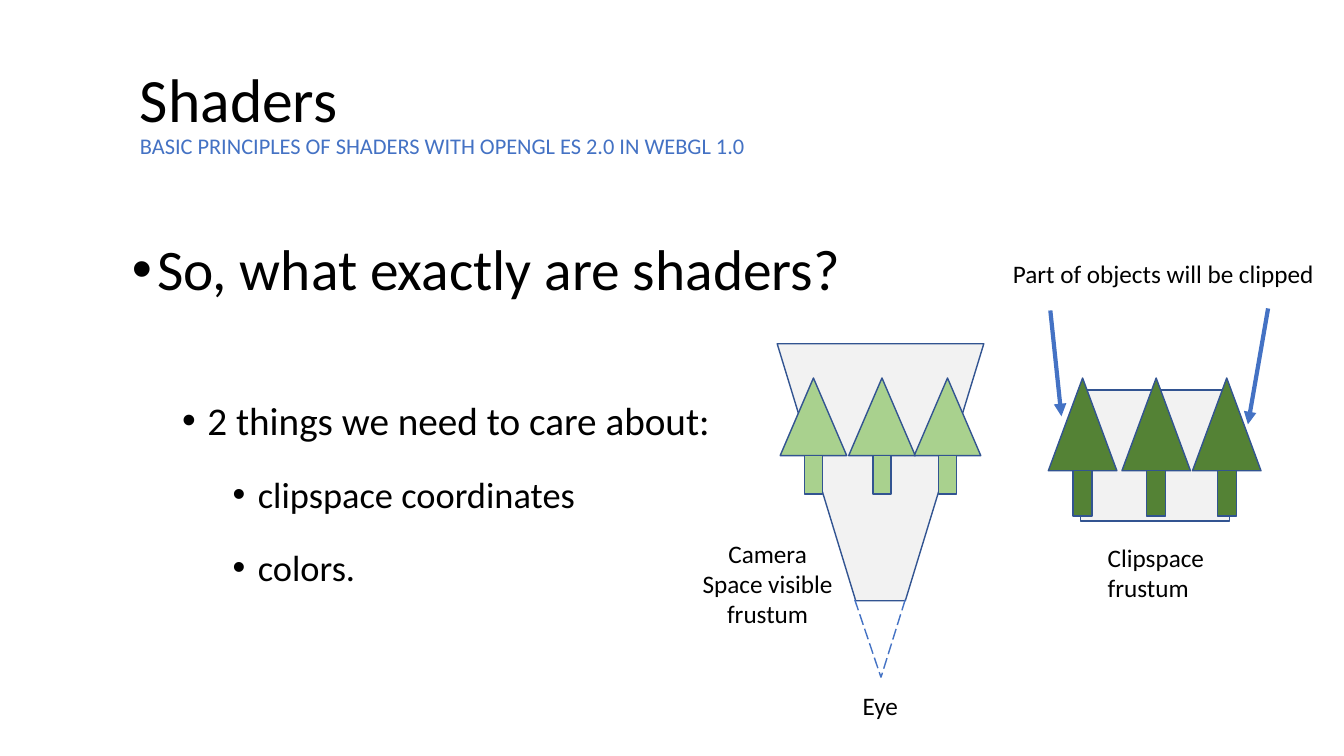
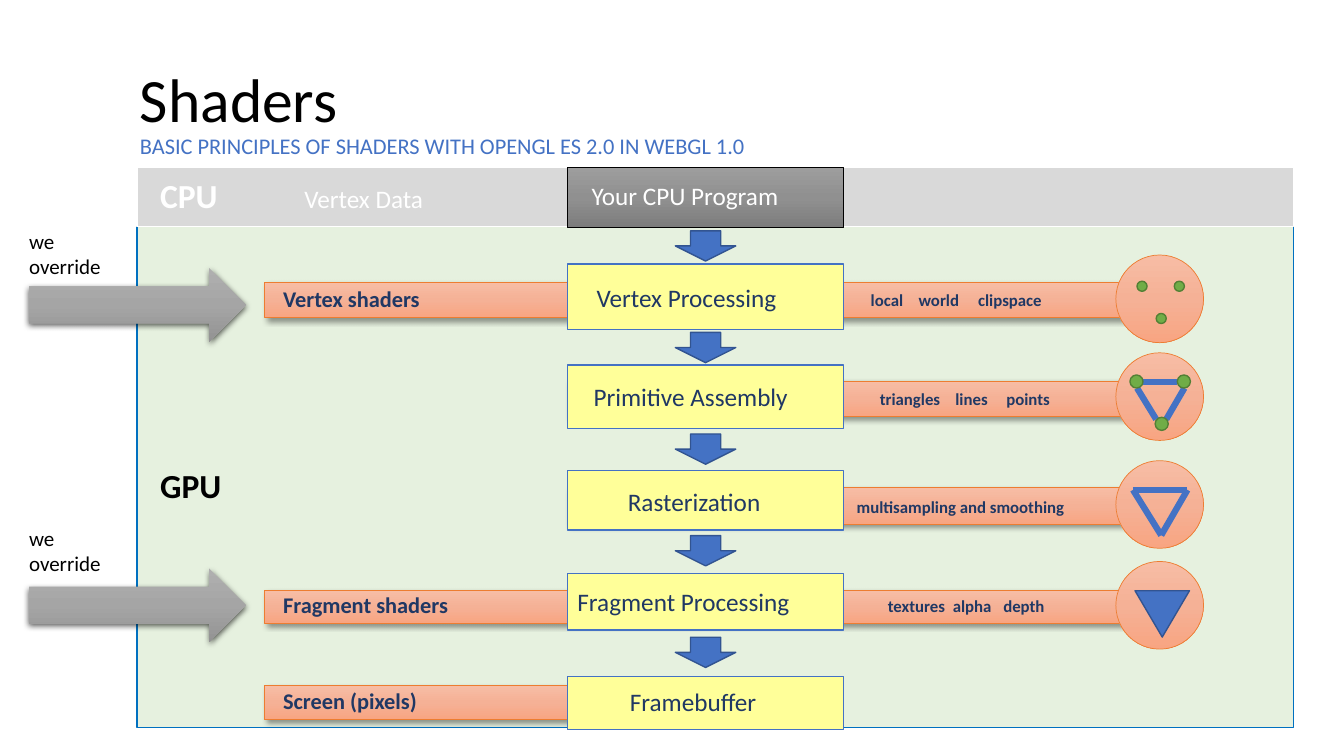
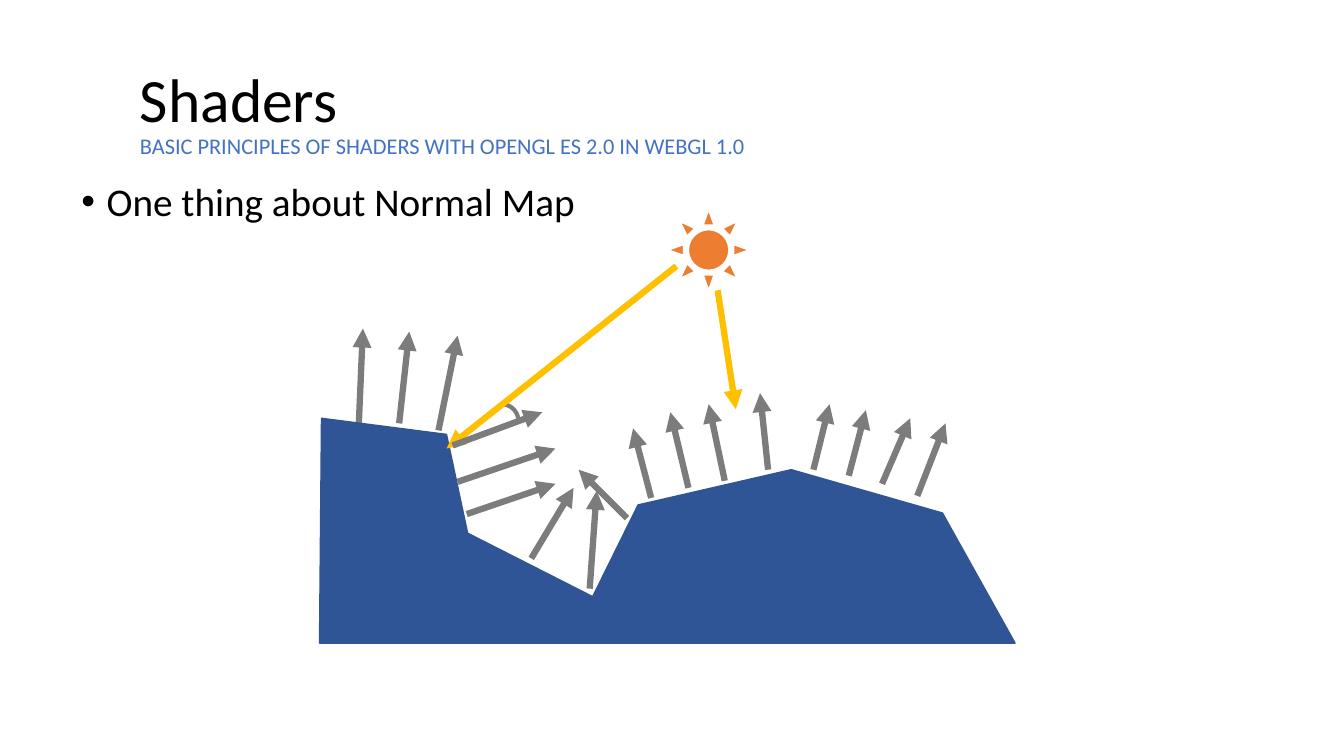
from lxml import etree
from pptx import Presentation
from pptx import util as u
from pptx.dml import color as dml
from pptx.enum import dml as dash, shapes, text
from pptx.oxml import ns

WIDE, HIGH = 133.33, 75  # columns and rows of the slide grid
CELL = 0.1  # inches
FONT = "Calibri"
HUES = {
    "ink": "000000", "white": "FFFFFF", "blue": "4472C4", "edge": "325491",
    "navy": "203864", "hill": "2F5597", "pale": "F2F2F2", "band": "D9D9D9",
    "mint": "C5E0B4", "rim": "0070C0", "leaf": "A9D18E", "pine": "548235",
    "dot": "70AD47", "ring": "538035", "orange": "ED7D31", "lemon": "FFFF99",
    "gray": "7C7C7C", "gold": "FFC000",
}
FADES = {
    "steel": ("9D9D9D", "909090", "7C7C7C"),
    "peach": ("F7BDA5", "F5B196", "F8A582"),
    "silver": ("AFAFAF", "A5A5A5", "939393"),
}
SOFT = (40, 4, 3, 45)  # shadow: opacity, blur, distance, angle
DEEP = (63, 4.5, 1.5, 90)
KIND = shapes.MSO_SHAPE


def span(cells):
    return u.Inches(cells * CELL)


def rgb(name):
    return dml.RGBColor.from_string(HUES[name])


def sub(node, tag, **attrs):
    return etree.SubElement(node, ns.qn("a:" + tag), {k: str(v) for k, v in attrs.items()})


class Deck:
    """Holds the shared style and the slide being drawn."""

    def __init__(self):
        self.prs = Presentation()
        self.prs.slide_width, self.prs.slide_height = span(WIDE), span(HIGH)

    def page(self):
        self.items = self.prs.slides.add_slide(self.prs.slide_layouts[6]).shapes
        frame = self.say((12.9, 4.1, 78.4, 14.5), "Shaders", size=44,
                         space=0.9, anchor="MIDDLE")
        self.say(frame, "BASIC PRINCIPLES OF SHADERS WITH OPENGL ES 2.0 IN WEBGL 1.0",
                 size=16, color="blue", space=0.9)

    def say(self, place, *lines, size=18, color="ink", bold=False, align="LEFT",
            anchor="TOP", space=None, before=0, level=None, tabs=()):
        """Put one paragraph a line in a new box, or add them to a given frame."""
        fresh = isinstance(place, tuple)
        frame = place
        if fresh:
            frame = self.items.add_textbox(*map(span, place)).text_frame
            frame.word_wrap = True
            frame.vertical_anchor = text.MSO_ANCHOR[anchor]
        for i, line in enumerate(lines):
            para = frame.paragraphs[0] if fresh and i == 0 else frame.add_paragraph()
            props = para._p.get_or_add_pPr()
            if level is not None:
                props.set("marL", str(u.Inches(0.25 + 0.5 * level)))
                props.set("indent", str(u.Inches(-0.25)))
                sub(props, "buFont", typeface="Arial")
                sub(props, "buChar", char="•")
            if tabs:
                stops = sub(props, "tabLst")
                for stop in tabs:
                    sub(stops, "tab", pos=span(stop), algn="l")
            para.alignment = text.PP_ALIGN[align]
            para.space_before = u.Pt(before)
            if space:
                para.line_spacing = space
            run = para.add_run()
            run.text = line
            font = run.font
            font.name, font.size, font.bold = FONT, u.Pt(size), bold
            font.color.rgb = rgb(color)
        return frame

    def paint(self, shape, fill, line, width, shadow=None, alpha=None):
        shape.shadow.inherit = False
        props = shape.element.spPr
        if fill in FADES:
            shape.fill.gradient()
            shape.fill.gradient_angle = 270
            stops = props.find(".//" + ns.qn("a:gsLst"))
            stops.clear()
            for i, hue in enumerate(FADES[fill]):
                sub(sub(stops, "gs", pos=50000 * i), "srgbClr", val=hue)
        elif fill:
            shape.fill.solid()
            shape.fill.fore_color.rgb = rgb(fill)
            if alpha:
                sub(props.find(".//" + ns.qn("a:srgbClr")), "alpha", val=alpha * 1000)
        else:
            shape.fill.background()
        if line:
            shape.line.color.rgb = rgb(line)
            shape.line.width = u.Pt(width)
        else:
            shape.line.fill.background()
        if shadow:
            dim, blur, dist, turn = shadow
            cast = sub(props.find(ns.qn("a:effectLst")), "outerShdw", blurRad=u.Pt(blur),
                       dist=u.Pt(dist), dir=turn * 60000, algn="ctr", rotWithShape=0)
            sub(sub(cast, "srgbClr", val=HUES["ink"]), "alpha", val=dim * 1000)

    def draw(self, kind, box, fill, line="edge", width=1, turn=0, adjust=None, **more):
        shape = self.items.add_shape(kind, *map(span, box))
        shape.rotation = turn
        if adjust:
            shape.adjustments[0] = adjust
        self.paint(shape, fill, line, width, **more)

    def outline(self, points, fill, line):
        spots = [tuple(map(span, spot)) for spot in points]
        form = self.items.build_freeform(*spots[0], scale=1.0)
        form.add_line_segments(spots[1:], close=True)
        self.paint(form.convert_to_shape(), fill, line, 1)

    def line(self, start, end, color="blue", width=4.5, head=False, dashed=False):
        link = self.items.add_connector(shapes.MSO_CONNECTOR.STRAIGHT,
                                        *map(span, start + end))
        link.line.color.rgb = rgb(color)
        link.line.width = u.Pt(width)
        if dashed:
            link.line.dash_style = dash.MSO_LINE.LONG_DASH
        props = link.element.spPr
        if head:
            sub(props.find(ns.qn("a:ln")), "tailEnd", type="triangle")
        sub(props, "effectLst")

    def grove(self, lefts, crown, trunk, fill):
        """Draw a row of trees; crown and trunk are (width, height)."""
        top = 37.5
        for left in lefts:
            self.draw(KIND.ISOSCELES_TRIANGLE, (left, top, *crown), fill)
            inset = (crown[0] - trunk[0]) / 2
            self.draw(KIND.RECTANGLE, (left + inset, top + crown[1], *trunk), fill)

    def dots(self, spots, size):
        for left, top in spots:
            self.draw(KIND.OVAL, (left, top, size, size), "dot", "ring")


def frustum(deck):
    deck.page()
    body = deck.say((12.1, 23.4, 72.6, 45.9), "So, what exactly are shaders?",
                    size=41, space=0.9, level=0)
    deck.say(body, "2 things we need to care about:", size=28, space=1.5,
             before=50, level=1)
    deck.say(body, "clipspace coordinates", "colors.", size=26, space=1.5,
             before=5, level=2)

    deck.draw(KIND.TRAPEZOID, (77.1, 34.1, 20.5, 25.5), "pale", turn=180, adjust=0.38)
    eye = (87.4, 67.2)
    for left in (84.8, 89.8):
        deck.line((left, 59.5), eye, width=1, dashed=True)
    deck.draw(KIND.RECTANGLE, (107.2, 38.7, 14.8, 13), "pale")
    deck.grove((77.4, 84.2, 90.7), (6.6, 7.7), (1.8, 3.8), "leaf")
    deck.grove((104, 111.3, 118.3), (6.8, 9.2), (1.9, 4.5), "pine")

    deck.say((68.6, 52.9, 15.1, 10.1), "Camera", "Space visible", "frustum", align="CENTER")
    deck.say((84.6, 68, 5.6, 4), "Eye")
    deck.say((108.9, 53.3, 11.7, 7.1), "Clipspace", "frustum")
    deck.say((99.5, 25.1, 32.2, 4), "Part of objects will be clipped")
    deck.line((104.2, 30.8), (105.3, 41.3), width=3, head=True)
    deck.line((125.8, 30.6), (123.8, 42.1), width=3, head=True)


def pipeline(deck):
    deck.page()
    left, wide = 13.6, 114.7
    mid, box = 56.3, 27.4  # left and width of the middle column
    side, end = 26.2, 115.1  # outer ends of the bars
    deck.draw(KIND.RECTANGLE, (left, 22.2, wide, 50), "mint", "rim", alpha=42)
    deck.draw(KIND.RECTANGLE, (left, 16.6, wide, 5.9), "band", "white")
    deck.draw(KIND.RECTANGLE, (mid, 16.6, box, 6), "steel", "ink", 0.5)

    bars = ((side, 28, end, 3.5), (mid, 37.8, end, 3.5), (mid, 48.4, end, 3.6),
            (side, 58.6, end, 3.2), (side, 68, mid, 3.4))
    for start, top, stop, high in bars:
        deck.draw(KIND.RECTANGLE, (start, top, stop - start, high), "peach", "orange",
                  0.5, shadow=SOFT)
    for top in (25.3, 35, 45.7, 55.7):
        deck.draw(KIND.OVAL, (110.7, top, 8.7, 8.7), "peach", "orange", 0.5)

    stages = (("Vertex Processing", 58.2, 26.2, 6.5, 27.5),
              ("Primitive Assembly", 57.9, 36.2, 6.3, 37.3),
              ("Rasterization", 61.3, 46.7, 5.9, 47.7),
              ("Fragment Processing", 56.3, 56.9, 5.6, 57.7),
              ("Framebuffer", 61.5, 67.1, 5.3, 67.6))
    for i, (name, start, top, high, base) in enumerate(stages):
        deck.draw(KIND.RECTANGLE, (mid, top, box, high), "lemon", "blue")
        deck.say((start, base, box, 4), name, color="navy", anchor="MIDDLE")
        deck.draw(KIND.DOWN_ARROW, (67, 22.9 + 10.08 * i, 6, 3), "blue")

    for name, top in (("Vertex shaders", 27.8), ("Fragment shaders", 58.2),
                      ("Screen (pixels)", 67.7)):
        deck.say((27.1, top, 22.1, 3.7), name, size=16, color="navy", bold=True)
    notes = ((("local", "world", "clipspace"), 85.4, 28.3, (4.75, 10.65)),
             (("triangles", "lines", "points"), 86.3, 38.1, (7.5, 12.55)),
             (("multisampling and smoothing",), 84, 48.8, ()),
             (("textures", "alpha", "depth"), 87.1, 58.6, (6.45, 11.45)))
    for words, start, top, tabs in notes:
        deck.say((start, top, 26, 3), "\t".join(words), size=12, color="navy",
                 bold=True, tabs=tabs)

    deck.say((57.7, 17.4, 24.5, 4), "Your CPU Program", color="white")
    deck.say((29.2, 17.7, 16.8, 4), "Vertex Data", color="white")
    deck.say((14.9, 16.9, 9, 5), "CPU", size=24, color="white", bold=True)
    deck.say((14.9, 45.6, 9, 5), "GPU", size=24, bold=True)

    deck.dots(((112.8, 27.9), (116.5, 27.9), (114.7, 31.1)), 1)
    for start, stop in (((113.4, 37.9), (116.8, 37.9)), ((112.8, 38.5), (114.7, 41.6)),
                        ((115.7, 41.6), (117.5, 38.5))):
        deck.line(start, stop)
    deck.dots(((112.1, 37.2), (116.8, 37.2), (114.6, 41.4)), 1.3)
    ring = ((112.4, 48.6), (117.8, 48.6), (115.2, 53.1))
    for i, spot in enumerate(ring):
        deck.line(spot, ring[(i + 1) % 3])
    deck.draw(KIND.ISOSCELES_TRIANGLE, (112.6, 58.6, 5.4, 4.6), "blue", turn=180)

    for arrow, note in ((26.6, 22.2), (56.4, 51.6)):
        deck.draw(KIND.RIGHT_ARROW, (2.9, arrow, 21.5, 7.3), "silver", None, shadow=DEEP)
        deck.say((1.9, note, 15.6, 6.1), "we", "override", size=15)


def normals(deck):
    deck.page()
    deck.say((7.1, 18, 97.8, 5), "One thing about Normal Map", size=28, space=0.8, level=0)
    rays = (
        (35.6, 42, 36, 32.6), (39.6, 42, 40.6, 32.9), (43.5, 42.7, 45.4, 33.3),
        (45.4, 47.8, 55.1, 44.5), (46.3, 51, 55.1, 48), (52.7, 55.4, 56.9, 48.4),
        (58.5, 58.4, 59.2, 48.7), (62.2, 51.4, 57.4, 46.6), (64.6, 49.4, 62.8, 42.5),
        (68.3, 48.4, 66.5, 40.9), (71.9, 47.7, 70.3, 40.1), (76.2, 46.6, 75.4, 39),
        (80.7, 46.6, 82.3, 40.1), (84.2, 47.2, 85.9, 40.7), (87.5, 48, 90.3, 41.5),
        (91, 49.2, 93.8, 42))
    for ray in rays:
        deck.line(ray[:2], ray[2:], "gray", head=True)
    deck.draw(KIND.SUN, (66.2, 20.7, 8.2, 8.2), "orange", "white", 1.5)
    deck.outline(((31.9, 41.5), (44.3, 43.1), (46.4, 52.9), (58.8, 59.2), (63.3, 50.1),
                  (78.5, 46.6), (93.5, 50.9), (100.7, 63.8), (31.7, 63.8)), "hill", "edge")
    deck.line((71.2, 28.8), (73, 40.6), "gold", head=True)
    deck.draw(KIND.ARC, (48.2, 40.1, 3.3, 3.8), None, "gray", 3)
    deck.line((67.1, 26.4), (44.3, 44.5), "gold", head=True)
    deck.line((44.9, 44.2), (53.8, 40.9), "gray", head=True)


def main():
    deck = Deck()
    for build in (frustum, pipeline, normals):
        build(deck)
    deck.prs.save("out.pptx")


if __name__ == "__main__":
    main()
